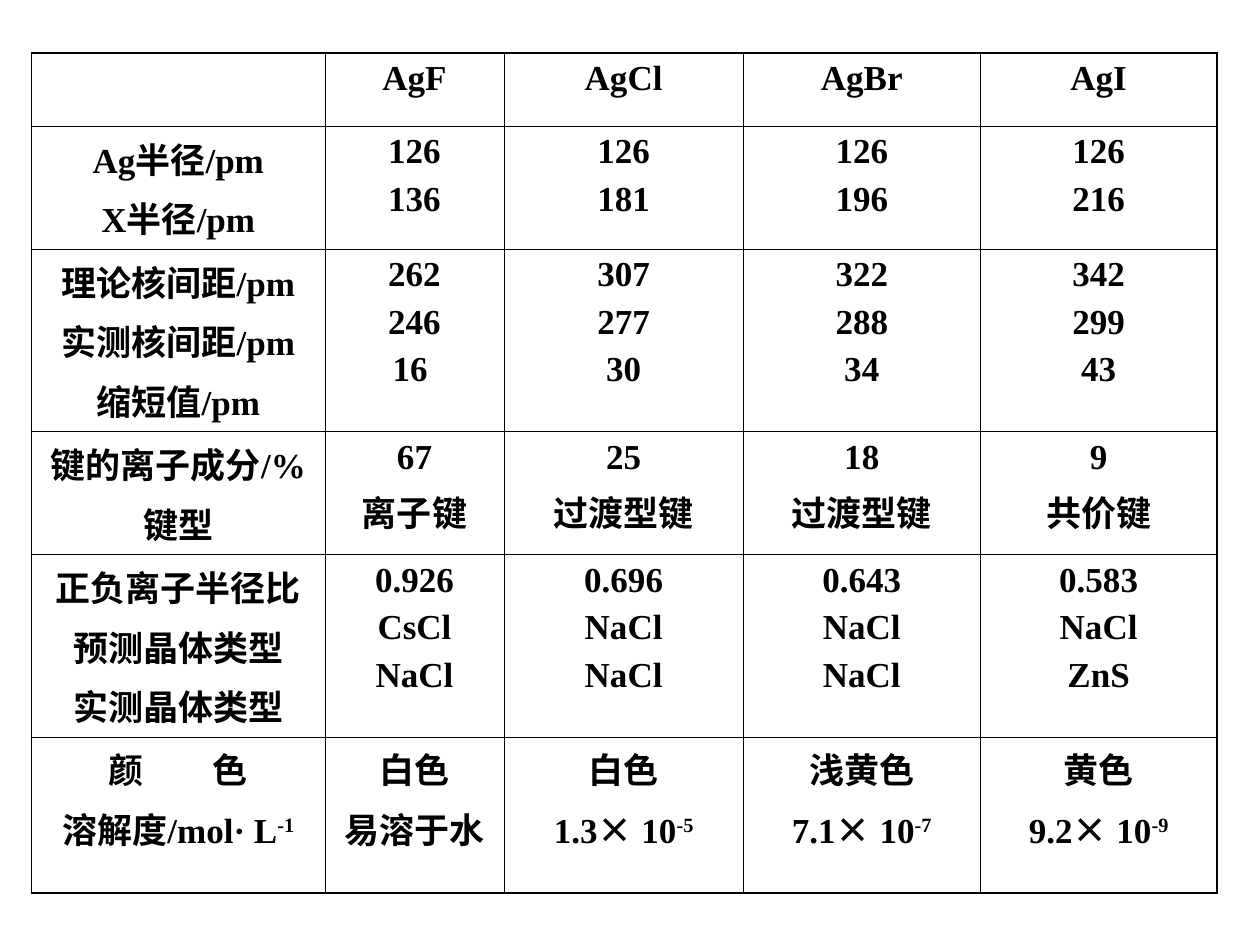
from pptx import Presentation
from pptx.dml.color import RGBColor
from pptx.enum.text import PP_ALIGN
from pptx.oxml import parse_xml
from pptx.oxml.ns import nsdecls, qn
from pptx.util import Inches, Pt

CENTER = PP_ALIGN.CENTER
BLACK = RGBColor(0, 0, 0)
WHITE = RGBColor(255, 255, 255)
LATIN_FONT = "Times New Roman"
CJK_FONT = "Noto Sans CJK SC"
OUTER_LINE, INNER_LINE = Pt(1.08), Pt(0.45)
WIDE_GAP = Pt(35)

# Content: one row per group, one list of lines per cell; ^ starts a superscript
ROWS = [
    [[], ["AgF"], ["AgCl"], ["AgBr"], ["AgI"]],
    [["Ag半径/pm", "X半径/pm"],
     ["126", "136"], ["126", "181"], ["126", "196"], ["126", "216"]],
    [["理论核间距/pm", "实测核间距/pm", "缩短值/pm"],
     ["262", "246", "16 "], ["307", "277", "30"],
     ["322", "288", "34"], ["342", "299", "43"]],
    [["键的离子成分/%", "键型"],
     ["67", "离子键"], ["25", "过渡型键"], ["18", "过渡型键"], ["9", "共价键"]],
    [["正负离子半径比", "预测晶体类型", "实测晶体类型"],
     ["0.926", "CsCl", "NaCl"], ["0.696", "NaCl", "NaCl"],
     ["0.643", "NaCl", "NaCl"], ["0.583", "NaCl", "ZnS"]],
    [["颜 色", "溶解度/mol· L^-1"],
     ["白色", "易溶于水"], ["白色", "1.3× 10^-5"],
     ["浅黄色", "7.1× 10^-7"], ["黄色", "9.2× 10^-9"]],
]
COLUMN_WIDTHS = [2.33, 1.42, 1.9, 1.88, 1.88]
ROW_HEIGHTS = [0.58, 0.84, 1.33, 0.94, 1.39, 1.24]


def add_run(paragraph, text, font_name=LATIN_FONT):
    run = paragraph.add_run()
    run.text = text
    font = run.font
    font.name, font.size, font.bold = font_name, Pt(20), True
    font.color.rgb = BLACK
    properties = run._r.get_or_add_rPr()
    properties.find(qn("a:latin")).addnext(
        parse_xml(f'<a:ea {nsdecls("a")} typeface="{CJK_FONT}"/>'))
    return properties


def add_line(paragraph, line):
    base, _, superscript = line.partition("^")
    if base == "颜 色":
        # The space between the two characters is widened by letter spacing
        add_run(paragraph, "颜")
        add_run(paragraph, " ").set("spc", str(int(WIDE_GAP.pt * 100)))
        add_run(paragraph, "色")
    else:
        before, times, after = base.partition("×")
        add_run(paragraph, before)
        if times:
            add_run(paragraph, times, CJK_FONT)
            add_run(paragraph, after)
    if superscript:
        add_run(paragraph, superscript).set("baseline", "30000")


def set_borders(cell, row, column):
    outer_sides = {
        "lnL": column == 0,
        "lnR": column == len(COLUMN_WIDTHS) - 1,
        "lnT": row == 0,
        "lnB": row == len(ROWS) - 1,
    }
    properties = cell._tc.get_or_add_tcPr()
    for position, (side, is_outer) in enumerate(outer_sides.items()):
        width = OUTER_LINE if is_outer else INNER_LINE
        properties.insert(position, parse_xml(
            f'<a:{side} {nsdecls("a")} w="{width}"><a:solidFill>'
            f'<a:srgbClr val="{BLACK}"/></a:solidFill></a:{side}>'))


def fill_cell(cell, lines):
    cell.fill.solid()
    cell.fill.fore_color.rgb = WHITE
    frame = cell.text_frame
    for index, line in enumerate(lines):
        paragraph = frame.add_paragraph() if index else frame.paragraphs[0]
        paragraph.alignment = CENTER
        if index:
            paragraph.space_before = Pt(5)
        add_line(paragraph, line)


def main():
    presentation = Presentation()
    presentation.slide_width, presentation.slide_height = Inches(10), Inches(7.5)
    slide = presentation.slides.add_slide(presentation.slide_layouts[6])

    # Table of silver halide properties
    table = slide.shapes.add_table(
        len(ROWS), len(COLUMN_WIDTHS), Inches(0.25), Inches(0.42),
        Inches(sum(COLUMN_WIDTHS)), Inches(sum(ROW_HEIGHTS))).table
    table.first_row = table.horz_banding = False
    for column, width in zip(table.columns, COLUMN_WIDTHS):
        column.width = Inches(width)
    for row, height in zip(table.rows, ROW_HEIGHTS):
        row.height = Inches(height)

    for row_index, row in enumerate(ROWS):
        for column_index, lines in enumerate(row):
            cell = table.cell(row_index, column_index)
            fill_cell(cell, lines)
            set_borders(cell, row_index, column_index)

    presentation.save("out.pptx")


if __name__ == "__main__":
    main()
